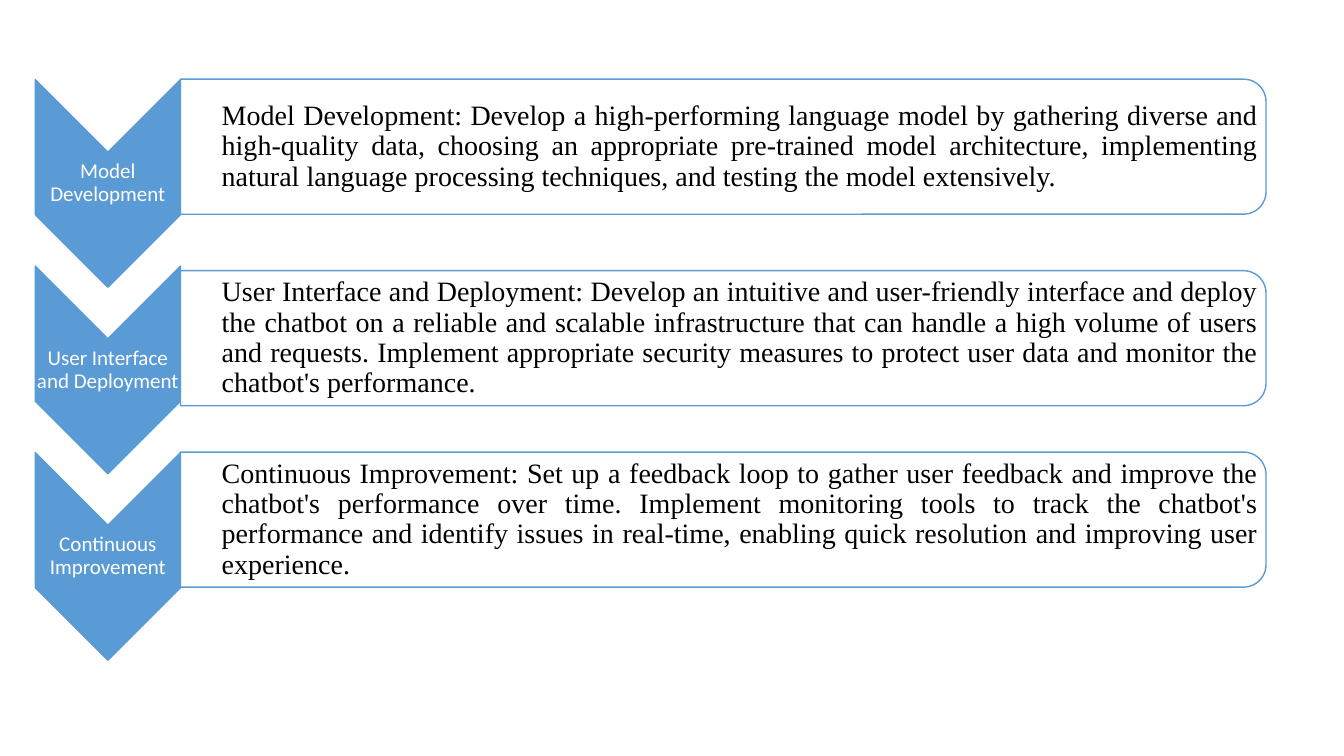
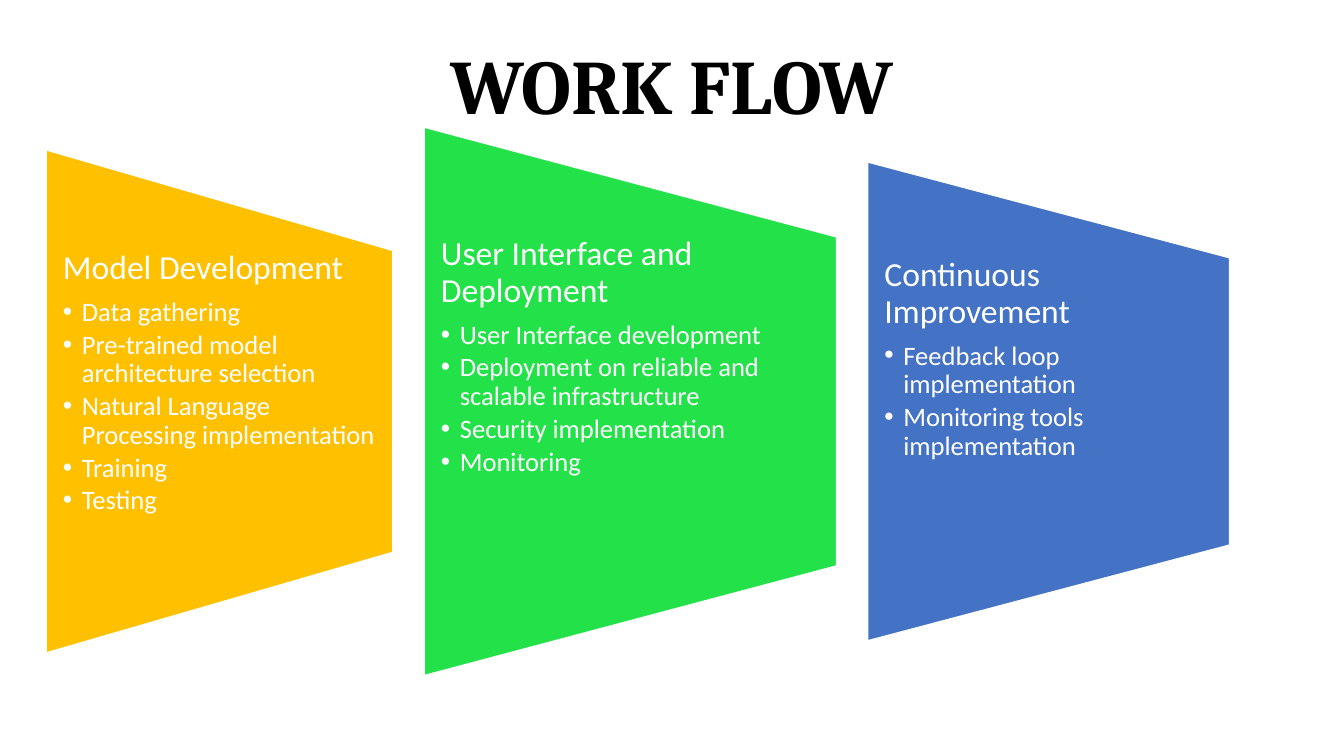
from dataclasses import dataclass

from lxml import etree
from pptx import Presentation
from pptx.dml.color import RGBColor
from pptx.enum import shapes, text
from pptx.oxml.ns import qn
from pptx.util import Pt


@dataclass(frozen=True)
class Theme:
    """Colours, fonts and type sizes of the deck."""
    blue: str = "5B9BD5"
    gold: str = "FFC000"
    green: str = "23E148"
    navy: str = "4472C4"
    white: str = "FFFFFF"
    black: str = "000000"
    sans: str = "Calibri"
    serif: str = "Times New Roman"
    head: str = "Cambria"
    title: float = 55
    lead: float = 24
    body: float = 20
    item: float = 19
    label: float = 15


THEME = Theme()
KIND = shapes.MSO_SHAPE
ALIGN = text.PP_ALIGN

STEPS = [
    ("Model Development", 104.8,
     "Develop a high-performing language model by gathering diverse and "
     "high-quality data, choosing an appropriate pre-trained model architecture, "
     "implementing natural language processing techniques, and testing the model "
     "extensively."),
    ("User Interface and Deployment", 241.6,
     "Develop an intuitive and user-friendly interface and deploy the chatbot on a "
     "reliable and scalable infrastructure that can handle a high volume of users "
     "and requests. Implement appropriate security measures to protect user data "
     "and monitor the chatbot's performance."),
    ("Continuous Improvement", 371.2,
     "Set up a feedback loop to gather user feedback and improve the chatbot's "
     "performance over time. Implement monitoring tools to track the chatbot's "
     "performance and identify issues in real-time, enabling quick resolution and "
     "improving user experience."),
]

PANELS = [
    (THEME.gold, 247.7, 359.3,
     ["Data gathering", "Pre-trained model architecture selection",
      "Natural Language Processing implementation", "Training", "Testing"]),
    (THEME.green, 294.5, 391.7,
     ["User Interface development",
      "Deployment on reliable and scalable infrastructure",
      "Security implementation", "Monitoring"]),
    (THEME.navy, 258.5, 342,
     ["Feedback loop implementation", "Monitoring tools implementation"]),
]


def apply(obj, vals):
    """Set each attribute in a dict of format values."""
    for name, val in vals.items():
        setattr(obj, name, val)


def turned(slide, kind, box, angle, fill, line, alpha=None):
    """Add a shape turned by a quarter so that it covers the given box."""
    left, top, wide, high = box
    shape = slide.shapes.add_shape(
        kind, Pt(left + (wide - high) / 2), Pt(top + (high - wide) / 2),
        Pt(high), Pt(wide))
    shape.rotation = angle
    shape.shadow.inherit = False
    shape.fill.solid()
    shape.fill.fore_color.rgb = RGBColor.from_string(fill)
    shape.line.color.rgb = RGBColor.from_string(line)
    shape.line.width = Pt(1)
    if alpha:
        tint = shape.fill._xPr.find(qn("a:solidFill"))[0]
        etree.SubElement(tint, qn("a:alpha"), val=str(alpha * 1000))


def frame(slide, box, pads, anchor=text.MSO_ANCHOR.TOP):
    """Add a wrapping text box and return its text frame."""
    area = slide.shapes.add_textbox(*map(Pt, box)).text_frame
    left, top, right, base = map(Pt, pads)
    apply(area, {"word_wrap": True, "vertical_anchor": anchor,
                 "margin_left": left, "margin_top": top,
                 "margin_right": right, "margin_bottom": base})
    return area


def write(para, words, size, face, color, bold=False, dent=0, hang=0, **form):
    """Write one styled paragraph, bulleted when it has a hanging indent."""
    run = para.add_run()
    run.text = words
    apply(run.font, {"size": Pt(size), "name": face, "bold": bold})
    run.font.color.rgb = RGBColor.from_string(color)
    apply(para, form)
    props = para._p.get_or_add_pPr()
    props.set("marL", str(Pt(dent)))
    props.set("indent", str(-Pt(hang)))
    if hang:
        etree.SubElement(props, qn("a:buFont"), typeface="Arial")
        etree.SubElement(props, qn("a:buChar"), char="•")


def step(slide, top, mid, name, words):
    """Draw one chevron with its label and its detail bar."""
    left, wide, high = 25.2, 103.7, 148.3
    bar, deep = 775.4, 96.5
    edge = left + wide
    centre = text.MSO_ANCHOR.MIDDLE
    turned(slide, KIND.CHEVRON, (left, top, wide, high), 90,
           THEME.blue, THEME.blue)
    label = frame(slide, (left, top + 51.8, wide, 44.7), [0.5] * 4, centre)
    write(label.paragraphs[0], name, THEME.label, THEME.sans, THEME.white,
          alignment=ALIGN.CENTER, line_spacing=0.9)
    turned(slide, KIND.ROUND_2_SAME_RECTANGLE, (edge, mid - deep / 2, bar, deep),
           90, THEME.white, THEME.blue, alpha=90)
    note = frame(slide, (edge, mid - 43.6, 770.4, 87.2),
                 (11.5, 0.7, 0.7, 0.7), centre)
    write(note.paragraphs[0], f"{name}: {words}", THEME.body, THEME.serif,
          THEME.black, dent=18, alignment=ALIGN.JUSTIFY, line_spacing=0.9)


def panel(slide, left, wide, high, fill, name, items):
    """Draw one tapered panel with a heading and bullets."""
    mid = 286.7
    turned(slide, KIND.FLOWCHART_MANUAL_OPERATION,
           (left, mid - high / 2, wide, high), 270, fill, THEME.white)
    deep = high * 0.6
    area = frame(slide, (left, mid - deep / 2, wide, deep), (12, 0, 12, 0))
    write(area.paragraphs[0], name, THEME.lead, THEME.sans, THEME.white,
          line_spacing=0.9, space_after=Pt(THEME.lead * 0.35))
    for item in items:
        write(area.add_paragraph(), item, THEME.item, THEME.sans, THEME.white,
              dent=13.5, hang=13.5, line_spacing=0.9,
              space_after=Pt(THEME.item * 0.15))


def main():
    """Build both slides and save the deck."""
    deck = Presentation()
    apply(deck, {"slide_width": Pt(960), "slide_height": Pt(540)})
    blank = deck.slide_layouts[6]

    goals = deck.slides.add_slide(blank)
    for row, (name, mid, words) in enumerate(STEPS):
        step(goals, 56.9 + row * 133.2, mid, name, words)

    flow = deck.slides.add_slide(blank)
    title = frame(flow, (32.4, 23, 895, 74.2), (7.2, 3.6, 7.2, 3.6))
    write(title.paragraphs[0], "WORK FLOW", THEME.title, THEME.head, THEME.black,
          bold=True, alignment=ALIGN.CENTER)
    left, gap = 33, 22.3
    for (name, *_), (fill, wide, high, items) in zip(STEPS, PANELS):
        panel(flow, left, wide, high, fill, name, items)
        left += wide + gap

    deck.save("out.pptx")


if __name__ == "__main__":
    main()
